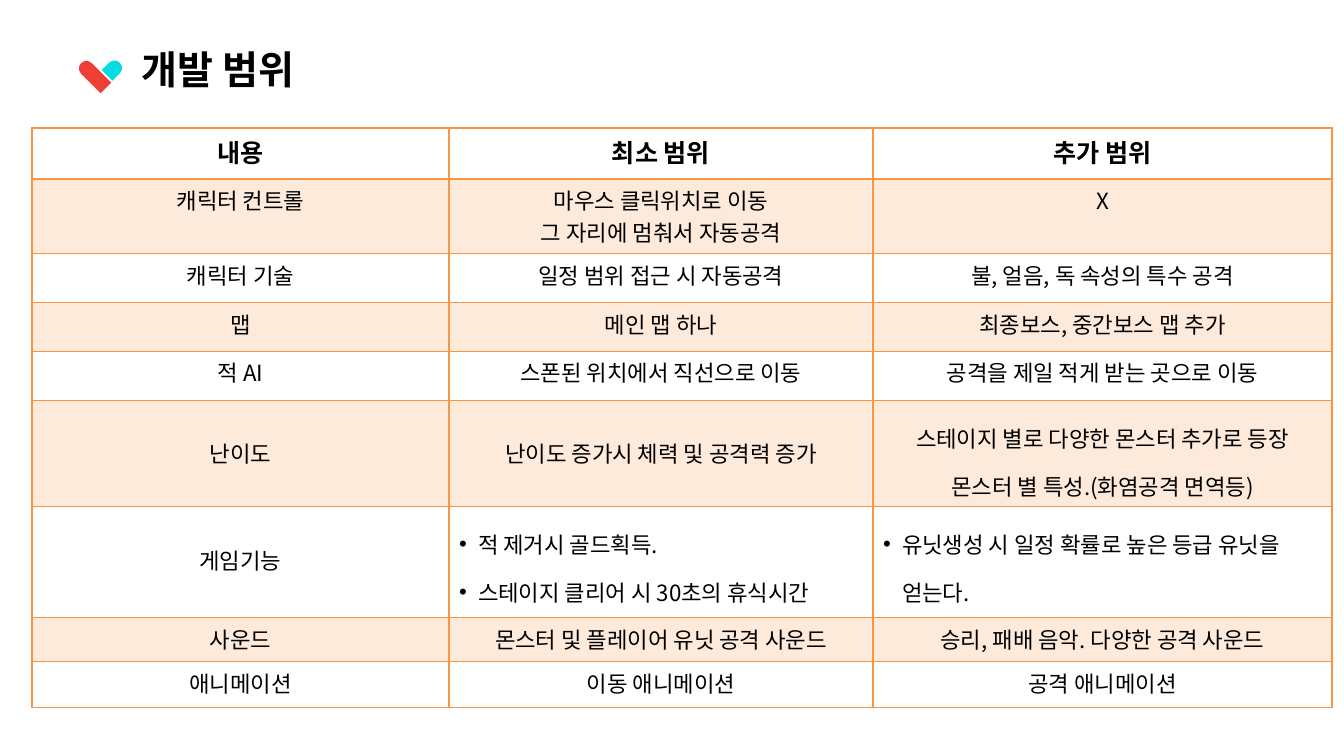
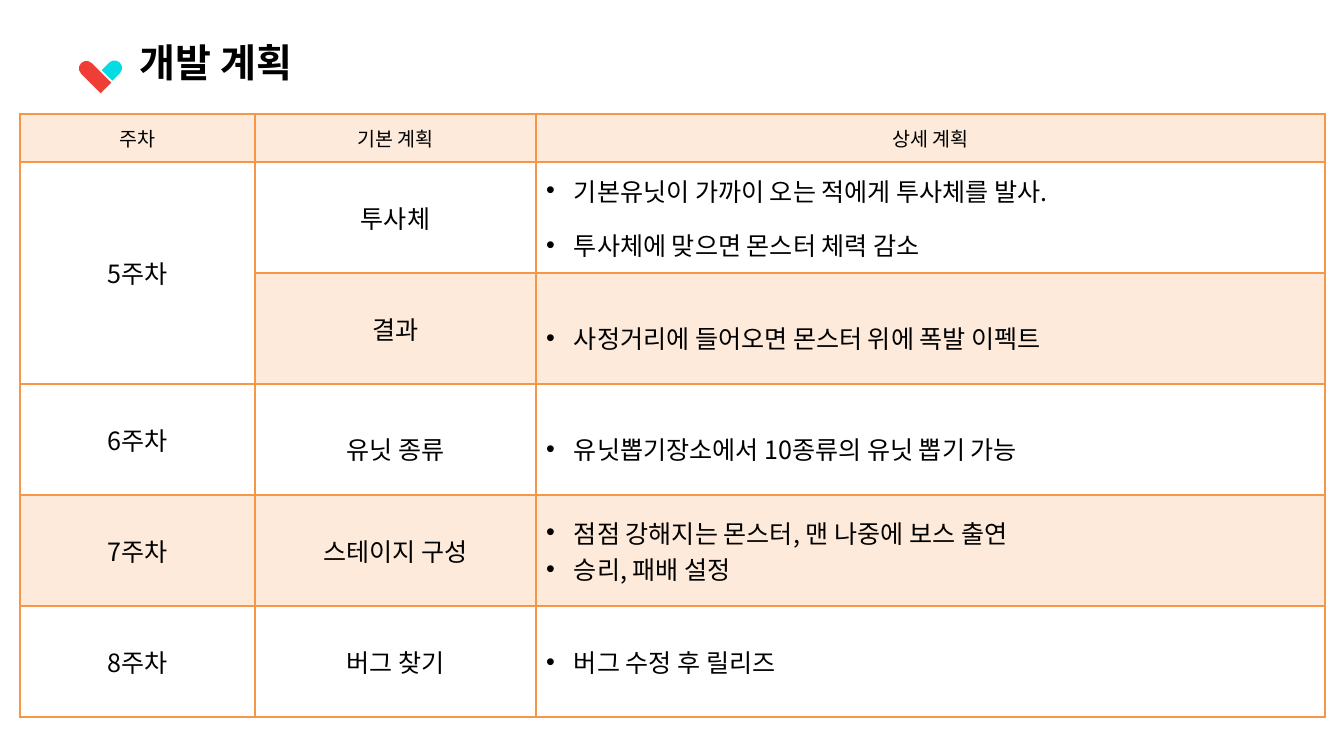
from dataclasses import dataclass

from lxml.etree import SubElement
from pptx import Presentation
from pptx.dml.color import RGBColor
from pptx.enum.shapes import MSO_SHAPE
from pptx.enum.text import MSO_ANCHOR, MSO_AUTO_SIZE, PP_ALIGN
from pptx.oxml.ns import qn
from pptx.util import Emu, Pt

EMU_PER_PX = 9108
SLIDE_SIZE = (1344, 751)
FONT = "Noto Sans CJK KR"
BLACK = RGBColor(0x00, 0x00, 0x00)
WHITE = RGBColor(0xFF, 0xFF, 0xFF)
RED = RGBColor(0xEF, 0x3E, 0x36)
CYAN = RGBColor(0x05, 0xDB, 0xE3)
ORANGE = RGBColor(0xF7, 0x96, 0x46)
PEACH = RGBColor(0xFD, 0xEA, 0xDA)

TITLE_FORMAT = {"size": Pt(28), "bold": True}
HEART_HALVES = [((86, 58, 15, 35), 315, RED), ((106, 60, 15, 18), 45, CYAN)]
TITLE_FRAME = {
    "margin_left": 0, "margin_top": 0, "margin_right": 0, "margin_bottom": 0,
    "word_wrap": True, "auto_size": MSO_AUTO_SIZE.NONE,
}


@dataclass
class Cell:
    """Text of a table cell with its paragraph layout, one spacing per line."""
    text: str
    spacings: tuple = (None, None)
    hanging: int = 0
    margin_top: int = 5


def px(length):
    """Turn pixels into EMU."""
    return Emu(length * EMU_PER_PX)


def set_values(target, values):
    """Set each attribute named in a dict."""
    for name, value in values.items():
        setattr(target, name, value)


def add_run(paragraph, text, values):
    """Add a black run in the shared font."""
    run = paragraph.add_run()
    run.text = text
    set_values(run.font, {"name": FONT, **values})
    run.font.color.rgb = BLACK
    SubElement(run.font._element, qn("a:ea"), typeface=FONT)


def add_color(parent, color):
    """Add a solid colour value to an XML element."""
    SubElement(parent, qn("a:srgbClr"), val=str(color))


def add_bullet(paragraph, hanging):
    """Give a paragraph a black bullet and a hanging indent."""
    properties = paragraph._p.get_or_add_pPr()
    properties.set("marL", str(px(hanging)))
    properties.set("indent", str(-px(hanging)))
    add_color(SubElement(properties, qn("a:buClr")), BLACK)
    SubElement(properties, qn("a:buFont"), typeface="Arial")
    SubElement(properties, qn("a:buChar"), char="•")


def add_borders(table_cell, bottom_width):
    """Draw the four orange borders of a cell."""
    properties = table_cell._tc.get_or_add_tcPr()
    widths = {"lnL": 1, "lnR": 1, "lnT": 1, "lnB": bottom_width}
    for side, width in widths.items():
        line = SubElement(properties, qn(f"a:{side}"), w=str(Pt(width)))
        add_color(SubElement(line, qn("a:solidFill")), ORANGE)


def add_heading(slide, title, left, top):
    """Add the two-part heart and the slide title."""
    for box, rotation, color in HEART_HALVES:
        shape = slide.shapes.add_shape(
            MSO_SHAPE.ROUND_2_SAME_RECTANGLE, *map(px, box))
        shape.adjustments[0] = 0.5
        shape.adjustments[1] = 0
        shape.rotation = rotation
        shape.shadow.inherit = False
        shape.fill.solid()
        shape.fill.fore_color.rgb = color
        shape.line.fill.background()
    frame = slide.shapes.add_textbox(px(left), px(top), px(206), px(47)).text_frame
    set_values(frame, TITLE_FRAME)
    paragraph = frame.paragraphs[0]
    paragraph.line_spacing = 0.9
    add_run(paragraph, title, TITLE_FORMAT)


def fill_cell(table_cell, content, values, anchor):
    """Write the lines of a cell, centred or bulleted."""
    cell = content if isinstance(content, Cell) else Cell(content)
    set_values(table_cell, {"vertical_anchor": anchor,
                            "margin_top": px(cell.margin_top)})
    frame = table_cell.text_frame
    for index, line in enumerate(cell.text.split("\n")):
        paragraph = frame.add_paragraph() if index else frame.paragraphs[0]
        paragraph.line_spacing = cell.spacings[index]
        if cell.hanging:
            add_bullet(paragraph, cell.hanging)
        else:
            paragraph.alignment = PP_ALIGN.CENTER
        add_run(paragraph, line, values)


def add_grid(slide, position, widths, heights, rows, *, header, body, anchor,
             first_shaded, header_line=1, merges=()):
    """Add a bordered table whose alternate rows are shaded."""
    table = slide.shapes.add_table(
        len(heights), len(widths), *map(px, position),
        px(sum(widths)), px(sum(heights))).table
    set_values(table, {"first_row": False, "horz_banding": False})
    for column, width in zip(table.columns, widths):
        column.width = px(width)
    for row, height in zip(table.rows, heights):
        row.height = px(height)
    for start, end in merges:
        table.cell(*start).merge(table.cell(*end))
    for row_index, row in enumerate(rows):
        for column_index, content in enumerate(row):
            table_cell = table.cell(row_index, column_index)
            add_borders(table_cell, 1 if row_index else header_line)
            shaded = row_index % 2 == first_shaded
            table_cell.fill.solid()
            table_cell.fill.fore_color.rgb = PEACH if shaded else WHITE
            if content is not None:
                fill_cell(table_cell, content, body if row_index else header, anchor)


def add_scope_slide(slide):
    """Build the development scope slide."""
    wide = (1.5, 1.5)
    rows = [
        ["내용", "최소 범위", "추가 범위"],
        ["캐릭터 컨트롤", "마우스 클릭위치로 이동\n그 자리에 멈춰서 자동공격", "X"],
        ["캐릭터 기술", "일정 범위 접근 시 자동공격", "불, 얼음, 독 속성의 특수 공격"],
        ["맵", "메인 맵 하나", "최종보스, 중간보스 맵 추가"],
        ["적 AI", "스폰된 위치에서 직선으로 이동", "공격을 제일 적게 받는 곳으로 이동"],
        [Cell("난이도", margin_top=37),
         Cell("난이도 증가시 체력 및 공격력 증가", margin_top=37),
         Cell("스테이지 별로 다양한 몬스터 추가로 등장\n몬스터 별 특성.(화염공격 면역등)", wide)],
        [Cell("게임기능", margin_top=37),
         Cell("적 제거시 골드획득.\n스테이지 클리어 시 30초의 휴식시간", wide, 19),
         Cell("유닛생성 시 일정 확률로 높은 등급 유닛을 얻는다.", wide, 19)],
        ["사운드", "몬스터 및 플레이어 유닛 공격 사운드", "승리, 패배 음악. 다양한 공격 사운드"],
        ["애니메이션", "이동 애니메이션", "공격 애니메이션"],
    ]
    add_heading(slide, "개발 범위", 142, 51)
    add_grid(slide, (32, 128), [417, 424, 459],
             [51, 68, 49, 49, 49, 104, 111, 44, 46], rows,
             header={"size": Pt(18), "bold": True}, body={"size": Pt(16)},
             anchor=MSO_ANCHOR.TOP, first_shaded=1, header_line=2)


def add_plan_slide(slide):
    """Build the development plan slide."""
    wide = (1.5, 1.5)
    single = (None, None)
    rows = [
        ["주차", "기본 계획", "상세 계획"],
        ["5주차", "투사체",
         Cell("기본유닛이 가까이 오는 적에게 투사체를 발사.\n투사체에 맞으면 몬스터 체력 감소",
              (None, 1.5), 28)],
        [None, "결과", Cell("사정거리에 들어오면 몬스터 위에 폭발 이펙트", wide, 28)],
        ["6주차", Cell("유닛 종류", wide),
         Cell("유닛뽑기장소에서 10종류의 유닛 뽑기 가능", wide, 28)],
        ["7주차", "스테이지 구성",
         Cell("점점 강해지는 몬스터, 맨 나중에 보스 출연\n승리, 패배 설정", single, 28)],
        ["8주차", "버그 찾기", Cell("버그 수정 후 릴리즈", single, 28)],
    ]
    add_heading(slide, "개발 계획", 140, 44)
    add_grid(slide, (20, 114), [235, 281, 789], [48] + [111] * 5, rows,
             header={"size": Pt(14)}, body={"size": Pt(18)},
             anchor=MSO_ANCHOR.MIDDLE, first_shaded=0,
             merges=[((1, 0), (2, 0))])


def main():
    """Build and save the presentation."""
    presentation = Presentation()
    width, height = map(px, SLIDE_SIZE)
    set_values(presentation, {"slide_width": width, "slide_height": height})
    for build in (add_scope_slide, add_plan_slide):
        build(presentation.slides.add_slide(presentation.slide_layouts[6]))
    presentation.save("out.pptx")


if __name__ == "__main__":
    main()
